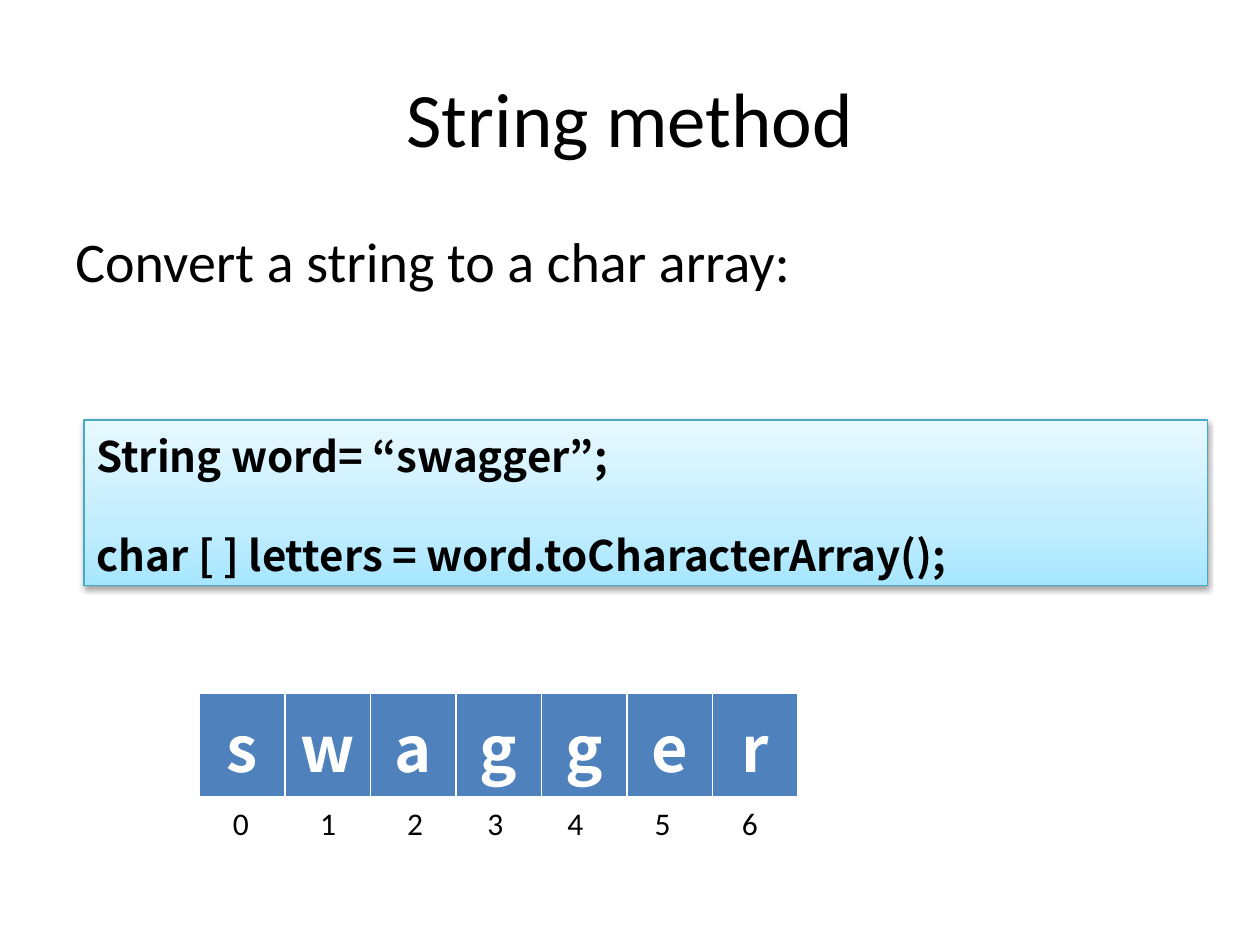
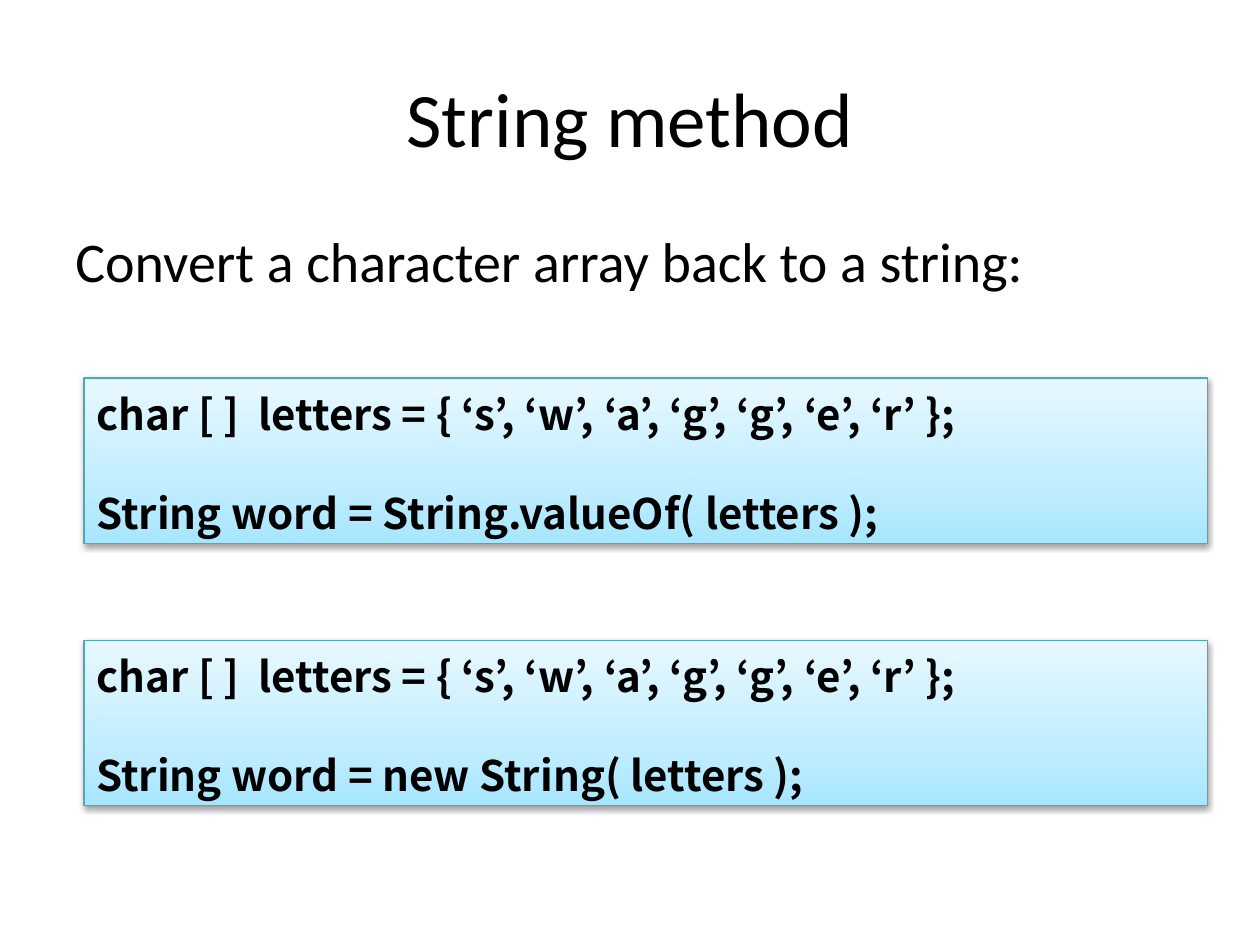
from pptx import Presentation
from pptx import util as u
from pptx.dml.color import RGBColor
from pptx.enum import shapes, text
from pptx.oxml import parse_xml
from pptx.oxml import ns

COLORS = {"ink": "000000", "paper": "FFFFFF", "cell": "4F81BD", "edge": "46AAC5"}
GRADIENT = [(0, "A7E6FF"), (35, "C1EDFF"), (100, "E7F8FF")]
BODY_FONT, CODE_FONT = "Calibri", "Noto Sans CJK JP"
TITLE = "String method"
WORD = "swagger"
LETTERS = "char [ ]  letters = { ‘s’, ‘w’, ‘a’, ‘g’, ‘g’, ‘e’, ‘r’ };"
SLIDES = [
    {"lead": "Convert a string to a char array:",
     "code": [(240, ["String word= “swagger”;",
                     "char [ ] letters = word.toCharacterArray();"])],
     "word": WORD},
    {"lead": "Convert a character array back to a string:",
     "code": [(366, [LETTERS, "String word = new String( letters );"]),
              (216, [LETTERS, "String word = String.valueOf( letters );"])]},
]
CODE_LINE = 28.3
INDEX_GAPS = [49.8, 49.8, 45.8, 45.8, 49.8, 49.8]
BORDERS = {"lnL": 1, "lnR": 1, "lnT": 1, "lnB": 3}


def points(*lengths):
    return [u.Pt(length) for length in lengths]


def element(xml):
    head, rest = xml.split(" ", 1)
    return parse_xml(f"{head} {ns.nsdecls('a')} {rest}")


def style(para, size, font, color="ink", bold=False, align=text.PP_ALIGN.LEFT):
    para.alignment = align
    for span in para.runs:
        span.font.size = u.Pt(size)
        span.font.name = font
        span.font.bold = bold
        span.font.color.rgb = RGBColor.from_string(COLORS[color])


def add_text(page, place, words, size, align=text.PP_ALIGN.LEFT,
             anchor=text.MSO_ANCHOR.TOP):
    frame = page.shapes.add_textbox(*points(*place)).text_frame
    frame.word_wrap = True
    frame.vertical_anchor = anchor
    frame.text = words
    para = frame.paragraphs[0]
    style(para, size, BODY_FONT, align=align)
    return para


def add_code(page, top, lines):
    box = page.shapes.add_shape(shapes.MSO_SHAPE.RECTANGLE, *points(48, top, 642, 94.5))
    stops = "".join(f'<a:gs pos="{at * 1000}"><a:srgbClr val="{color}"/></a:gs>'
                    for at, color in GRADIENT)
    properties = box.element.spPr
    properties.append(element(f'<a:gradFill rotWithShape="1"><a:gsLst>{stops}</a:gsLst>'
                              '<a:lin ang="16200000" scaled="0"/></a:gradFill>'))
    box.line.color.rgb = RGBColor.from_string(COLORS["edge"])
    box.line.width = u.Pt(0.75)
    box.shadow.inherit = False
    properties.find(ns.qn("a:effectLst")).append(element(
        f'<a:outerShdw blurRad="{u.Pt(3.1)}" dist="{u.Pt(1.6)}" dir="5400000" '
        f'rotWithShape="0"><a:srgbClr val="{COLORS["ink"]}"><a:alpha val="38000"/>'
        '</a:srgbClr></a:outerShdw>'))
    frame = box.text_frame
    frame.word_wrap = True
    frame.vertical_anchor = text.MSO_ANCHOR.TOP
    frame.margin_top, frame.margin_bottom = points(6.5, 0)
    frame.text = "\n".join(lines)
    for number, para in enumerate(frame.paragraphs):
        style(para, 24, CODE_FONT, bold=True)
        para.line_spacing = u.Pt(CODE_LINE)
        para.space_before = u.Pt(CODE_LINE if number else 0)


def add_letters(page, word):
    table = page.shapes.add_table(1, len(word), *points(114, 396, 342, 60)).table
    for cell, letter in zip(table.iter_cells(), word):
        cell.text = letter
        style(cell.text_frame.paragraphs[0], 36, CODE_FONT, "paper", True,
              text.PP_ALIGN.CENTER)
        properties = cell._tc.get_or_add_tcPr()
        for side, width in BORDERS.items():
            properties.append(element(
                f'<a:{side} w="{u.Pt(width)}"><a:solidFill>'
                f'<a:srgbClr val="{COLORS["paper"]}"/></a:solidFill></a:{side}>'))
        cell.fill.solid()
        cell.fill.fore_color.rgb = RGBColor.from_string(COLORS["cell"])
    indexes = "\t".join(str(number) for number in range(len(word)))
    para = add_text(page, (126, 456, 354, 29), indexes, 18)
    stops = "".join(f'<a:tab pos="{u.Pt(sum(INDEX_GAPS[:count]))}" algn="l"/>'
                    for count in range(1, len(word)))
    para._p.get_or_add_pPr().append(element(f"<a:tabLst >{stops}</a:tabLst>"))


deck = Presentation()
deck.slide_width, deck.slide_height = points(720, 540)
for content in SLIDES:
    page = deck.slides.add_slide(deck.slide_layouts[6])
    add_text(page, (36, 21.6, 648, 90), TITLE, 44, text.PP_ALIGN.CENTER,
             text.MSO_ANCHOR.MIDDLE)
    add_text(page, (36, 126, 648, 356.4), content["lead"], 32)
    for top, lines in content["code"]:
        add_code(page, top, lines)
    if "word" in content:
        add_letters(page, content["word"])
deck.save("out.pptx")
